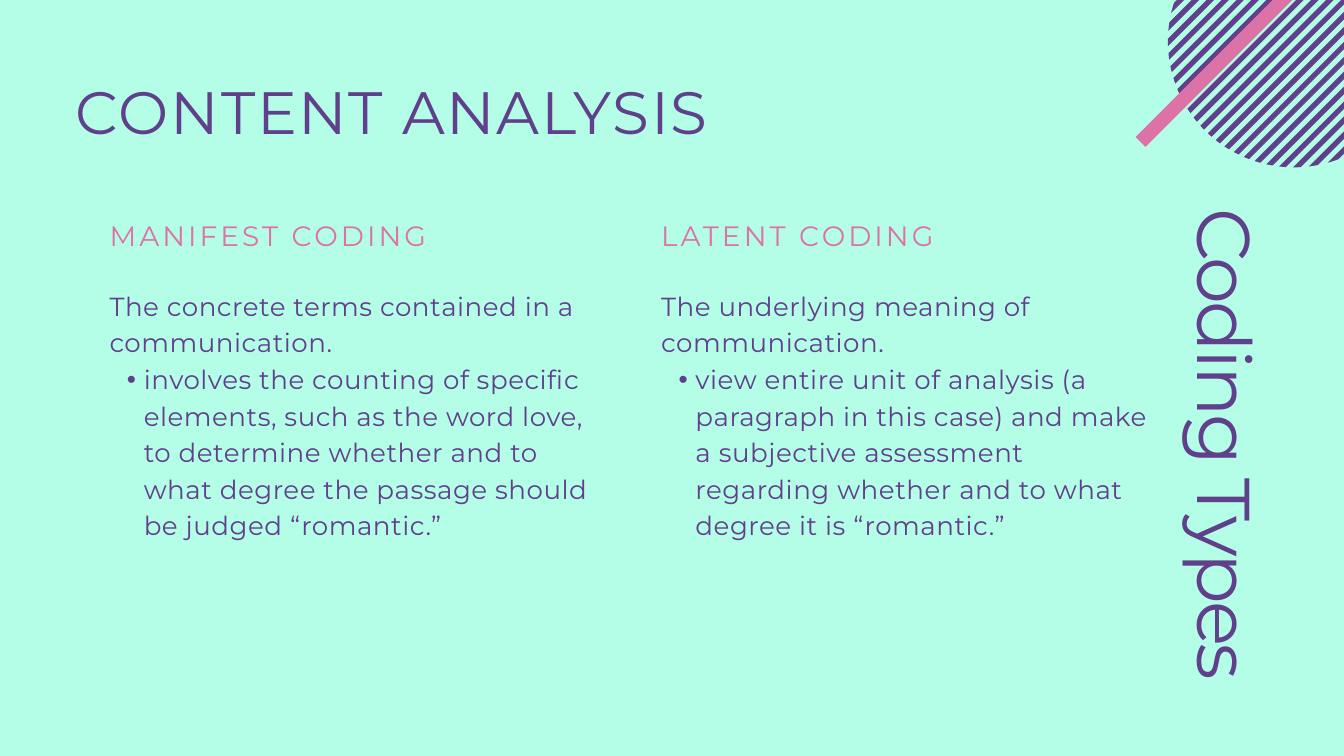
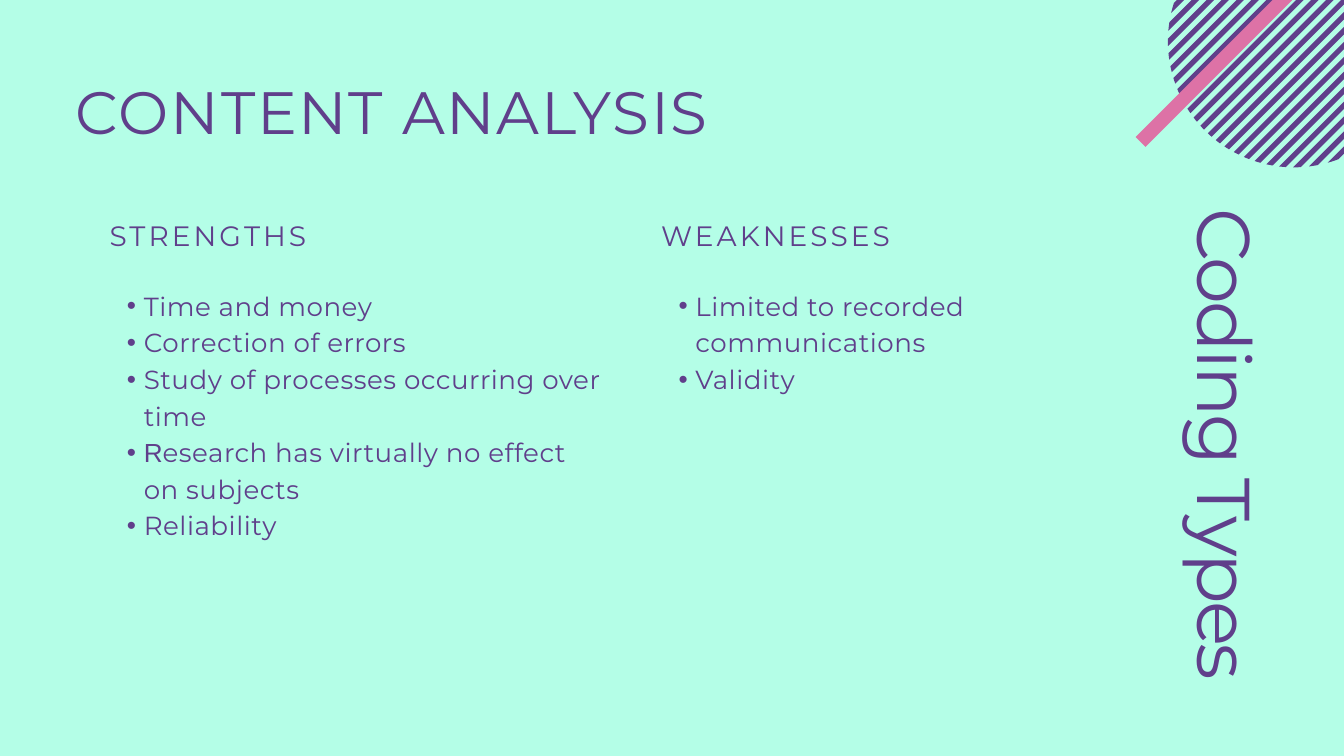
from dataclasses import dataclass
from math import acos, cos, pi, sin, sqrt

from lxml.etree import SubElement
from pptx import Presentation
from pptx.dml.color import RGBColor
from pptx.enum.shapes import MSO_SHAPE as Preset
from pptx.enum.text import MSO_AUTO_SIZE as AutoSize, PP_ALIGN as Align
from pptx.oxml.ns import qn
from pptx.util import Pt

# A body paragraph is a string; a tuple holds (initial in the plain face, rest).
TITLE = "CONTENT ANALYSIS"
SIDE_LABEL = "Coding Types"
SLIDES = [
    {
        "heading_style": "pink_heading",
        "columns": [
            {
                "heading": "MANIFEST CODING",
                "lead": "The concrete terms contained in a communication.",
                "bullets": [
                    "involves the counting of specific elements, such as the word love, "
                    "to determine whether and to what degree the passage should be "
                    "judged “romantic.”",
                ],
                "lines": 7,
            },
            {
                "heading": "LATENT CODING",
                "lead": "The underlying meaning of communication.",
                "bullets": [
                    "view entire unit of analysis (a paragraph in this case) and make a "
                    "subjective assessment regarding whether and to what degree it is "
                    "“romantic.”",
                ],
                "lines": 7,
            },
        ],
    },
    {
        "heading_style": "heading",
        "columns": [
            {
                "heading": "STRENGTHS",
                "bullets": [
                    "Time and money",
                    "Correction of errors",
                    "Study of processes occurring over time",
                    ("R", "esearch has virtually no effect on subjects"),
                    "Reliability",
                ],
                "lines": 7,
            },
            {
                "heading": "WEAKNESSES",
                "bullets": ["Limited to recorded communications", "Validity"],
                "lines": 3,
            },
        ],
    },
]


@dataclass(frozen=True)
class Style:
    size: float
    leading: float
    tracking: int  # hundredths of a point
    color: str


class Theme:
    mint, purple, pink = "B4FEE7", "603F8B", "DD72A6"
    face, plain_face = "Montserrat", "Arial"
    title = Style(64, 76.8, 190, purple)
    side_label = Style(80, 84, -320, purple)
    heading = Style(30, 39, 330, purple)
    pink_heading = Style(30, 39, 330, pink)
    body = Style(28, 39.2, 60, purple)


PX = 9144  # EMU; 100 px to the inch
SLIDE_SIZE = (2000, 1125)
TITLE_BOX = (112, 112, 1213, 106)
SIDE_LABEL_BOX = (1446, 582, 738, 122)
COLUMN_LEFT, COLUMN_STEP, COLUMN_WIDTH = 163, 821, 736
HEADING_TOP, HEADING_HEIGHT = 321, 54
BODY_TOP, BODY_LINE = 424, 54
BULLET_MARGIN, BULLET_HANG = 51, 25
DISC_LEFT, DISC_TOP, DISC_SIZE = 1738, -126, 375
STRIPE_COUNT, STRIPE_WIDTH, STRIPE_PITCH = 24, 11, 22.22
FIRST_STRIPE = 1729  # x + y along the first stripe's upper edge
ARC_STEPS = 6
BAR_BOX, BAR_ROTATION = (1646, 77, 350, 21), 315


def emu(*lengths):
    return [round(length * PX) for length in lengths]


def paint(shape, color):
    shape.shadow.inherit = False
    shape.fill.solid()
    shape.fill.fore_color.rgb = RGBColor.from_string(color)
    shape.line.fill.background()


def add_text_frame(slide, box, rotation=0):
    shape = slide.shapes.add_textbox(*emu(*box))
    shape.rotation = rotation
    frame = shape.text_frame
    frame.margin_left = frame.margin_right = frame.margin_top = frame.margin_bottom = 0
    frame.word_wrap = True
    frame.auto_size = AutoSize.SHAPE_TO_FIT_TEXT
    return frame


def make_bullet(paragraph):
    paragraph.level = 1
    props = paragraph._p.get_or_add_pPr()
    margin, hang = emu(BULLET_MARGIN, BULLET_HANG)
    props.set("marL", str(margin))
    props.set("indent", str(-hang))
    SubElement(props, qn("a:buFont")).set("typeface", Theme.plain_face)
    SubElement(props, qn("a:buChar")).set("char", "•")


def write(paragraph, content, style, align=Align.LEFT):
    paragraph.alignment = align
    paragraph.line_spacing = Pt(style.leading)
    font = paragraph.font
    font.name, font.size = Theme.face, Pt(style.size)
    font.color.rgb = RGBColor.from_string(style.color)
    paragraph._p.get_or_add_pPr().get_or_add_defRPr().set("spc", str(style.tracking))
    initial, rest = content if isinstance(content, tuple) else ("", content)
    if initial:
        run = paragraph.add_run()
        run.text, run.font.name = initial, Theme.plain_face
        run._r.get_or_add_rPr().set("spc", "0")
    paragraph.add_run().text = rest


def add_line(slide, box, content, style, align=Align.LEFT, rotation=0):
    frame = add_text_frame(slide, box, rotation)
    write(frame.paragraphs[0], content, style, align)


def add_body(slide, box, column):
    frame = add_text_frame(slide, box)
    lead = [column["lead"]] if "lead" in column else []
    for i, content in enumerate(lead + column["bullets"]):
        paragraph = frame.add_paragraph() if i else frame.paragraphs[0]
        if i >= len(lead):
            make_bullet(paragraph)
        write(paragraph, content, Theme.body)


def stripe_outline(index):
    """Return the points of one diagonal stripe, cut off by the disc's edge."""
    radius = DISC_SIZE / 2
    center_x, center_y = DISC_LEFT + radius, DISC_TOP + radius
    start = FIRST_STRIPE + index * STRIPE_PITCH - center_x - center_y
    near, far = (acos(edge / sqrt(2) / radius) for edge in (start, start + STRIPE_WIDTH))
    arc = [near + (far - near) * step / ARC_STEPS for step in range(ARC_STEPS + 1)]
    turns = arc + [-turn for turn in reversed(arc)]
    return [
        emu(center_x + radius * cos(pi / 4 + turn), center_y + radius * sin(pi / 4 + turn))
        for turn in turns
    ]


def add_striped_disc(slide):
    outlines = [stripe_outline(index) for index in range(STRIPE_COUNT)]
    builder = slide.shapes.build_freeform(*outlines[0][0])
    for i, outline in enumerate(outlines):
        if i:
            builder.move_to(*outline[0])
        builder.add_line_segments(outline[1:], close=True)
    paint(builder.convert_to_shape(), Theme.purple)


def add_bar(slide):
    bar = slide.shapes.add_shape(Preset.RECTANGLE, *emu(*BAR_BOX))
    bar.rotation = BAR_ROTATION
    paint(bar, Theme.pink)


def add_content_slide(deck, content):
    slide = deck.slides.add_slide(deck.slide_layouts[6])
    slide.background.fill.solid()
    slide.background.fill.fore_color.rgb = RGBColor.from_string(Theme.mint)
    add_line(slide, SIDE_LABEL_BOX, SIDE_LABEL, Theme.side_label, Align.RIGHT, 90)
    heading_style = getattr(Theme, content["heading_style"])
    for i, column in enumerate(content["columns"]):
        left = COLUMN_LEFT + i * COLUMN_STEP
        heading_box = (left, HEADING_TOP, COLUMN_WIDTH, HEADING_HEIGHT)
        add_line(slide, heading_box, column["heading"], heading_style)
        add_body(slide, (left, BODY_TOP, COLUMN_WIDTH, column["lines"] * BODY_LINE), column)
    add_striped_disc(slide)
    add_bar(slide)
    add_line(slide, TITLE_BOX, TITLE, Theme.title)


def main():
    deck = Presentation()
    deck.slide_width, deck.slide_height = emu(*SLIDE_SIZE)
    for content in SLIDES:
        add_content_slide(deck, content)
    deck.save("out.pptx")


if __name__ == "__main__":
    main()
